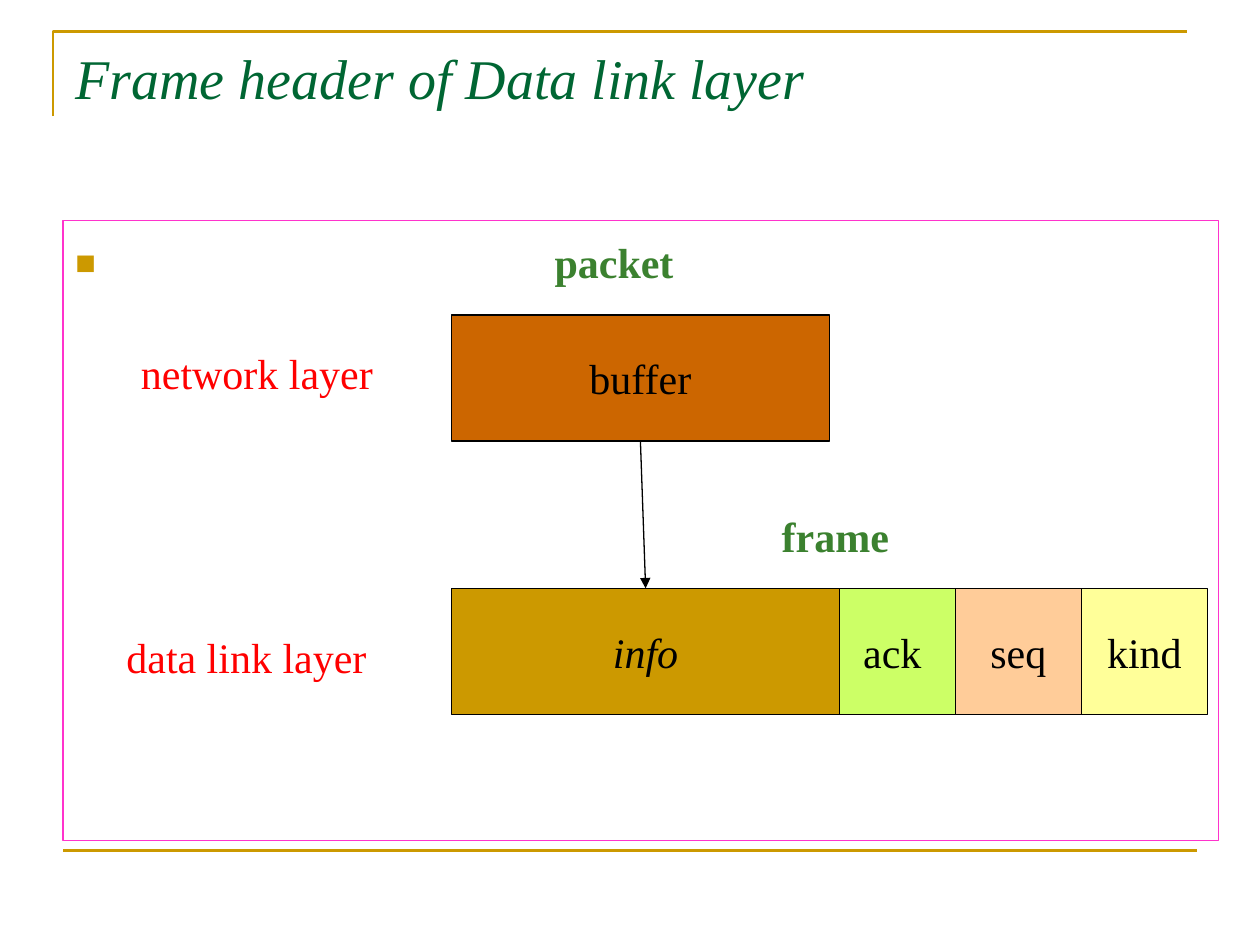
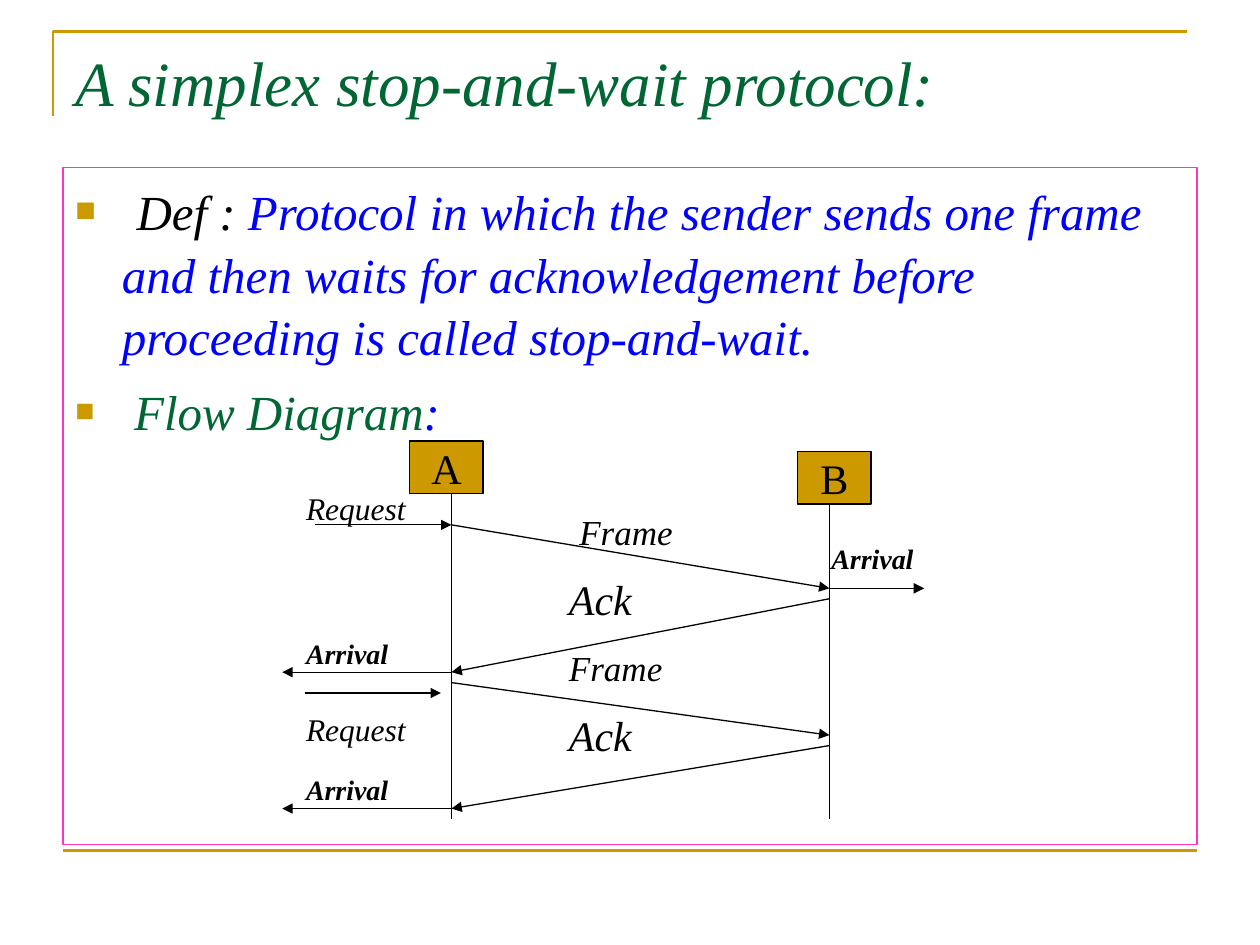
from dataclasses import dataclass

from lxml.etree import SubElement
from pptx import Presentation
from pptx.dml.color import RGBColor
from pptx.enum.shapes import MSO_CONNECTOR, MSO_SHAPE
from pptx.enum.text import MSO_ANCHOR, PP_ALIGN
from pptx.oxml.ns import qn
from pptx.util import Cm, Pt


@dataclass(frozen=True)
class Theme:
    serif: str = "Times New Roman"
    sans: str = "Arial"
    gold: str = "CC9900"
    green: str = "006633"
    leaf: str = "3B812F"
    pink: str = "FF33CC"
    brown: str = "CC6600"
    lime: str = "CCFF66"
    peach: str = "FFCC99"
    cream: str = "FFFF99"
    red: str = "FF0000"
    blue: str = "0000FF"
    black: str = "000000"
    white: str = "FFFFFF"
    body_size: float = 28
    bullet_size: float = 30
    box_size: float = 24
    thin: float = 0.75
    thick: float = 1.5


LABEL_FORMATS = {
    "Request": {"size": 18, "italic": True},
    "Arrival": {"size": 16, "italic": True, "bold": True},
    "Frame": {"size": 20, "italic": True},
    "Ack": {"size": 24, "italic": True},
}


class Deck:
    def __init__(self, theme):
        self.theme = theme
        self.presentation = Presentation()
        self.presentation.slide_width = Cm(25.4)
        self.presentation.slide_height = Cm(19.05)
        self.slide = None

    def add_slide(self, title, size):
        theme = self.theme
        blank = self.presentation.slide_layouts[6]
        self.slide = self.presentation.slides.add_slide(blank)
        self.corner()
        self.line((1.27, 17.15), (24.13, 17.15), theme.gold, theme.thick)
        self.label(title, 1.27, 0.76, 22.86, 2.18,
                   {"size": size, "italic": True, "color": theme.green})

    def corner(self):
        builder = self.slide.shapes.build_freeform(Cm(1.07), Cm(2.34))
        builder.add_line_segments(
            [(Cm(1.07), Cm(0.64)), (Cm(23.93), Cm(0.64))], close=False)
        shape = builder.convert_to_shape()
        self.paint(shape, None, self.theme.gold, self.theme.thick)

    def paint(self, shape, fill, outline, width):
        shape.shadow.inherit = False
        if fill:
            shape.fill.solid()
            shape.fill.fore_color.rgb = RGBColor.from_string(fill)
        else:
            shape.fill.background()
        shape.line.color.rgb = RGBColor.from_string(outline)
        shape.line.width = Pt(width)

    def add_text(self, paragraph, text, formats):
        """Append a run; formats override the theme's plain text."""
        run = paragraph.add_run()
        run.text = text
        values = {"name": self.theme.serif, "color": self.theme.black, **formats}
        values["size"] = Pt(values["size"])
        run.font.color.rgb = RGBColor.from_string(values.pop("color"))
        for name, value in values.items():
            setattr(run.font, name, value)

    def label(self, text, left, top, width, height, formats):
        box = self.slide.shapes.add_textbox(Cm(left), Cm(top), Cm(width), Cm(height))
        box.text_frame.word_wrap = True
        self.add_text(box.text_frame.paragraphs[0], text, formats)

    def rectangle(self, left, top, width, height, fill, outline):
        shape = self.slide.shapes.add_shape(
            MSO_SHAPE.RECTANGLE, Cm(left), Cm(top), Cm(width), Cm(height))
        self.paint(shape, fill, outline, self.theme.thin)
        return shape

    def box(self, text, left, top, width, height, fill, outline=None, **formats):
        shape = self.rectangle(left, top, width, height, fill,
                               outline or self.theme.black)
        frame = shape.text_frame
        frame.word_wrap = False
        frame.vertical_anchor = MSO_ANCHOR.MIDDLE
        paragraph = frame.paragraphs[0]
        paragraph.alignment = PP_ALIGN.CENTER
        self.add_text(paragraph, text, {"size": self.theme.box_size, **formats})
        return shape

    def caption(self, text, left, top, width, height, color, **formats):
        white = self.theme.white
        self.box(text, left, top, width, height, white, white, color=color, **formats)

    def content_frame(self, top, width, height, bullets):
        """Outlined panel; each bullet is a list of (text, formats) runs."""
        shape = self.rectangle(1.27, top, width, height, None, self.theme.pink)
        frame = shape.text_frame
        frame.word_wrap = True
        frame.vertical_anchor = MSO_ANCHOR.TOP
        for index, runs in enumerate(bullets):
            paragraph = frame.add_paragraph() if index else frame.paragraphs[0]
            self.bullet(paragraph)
            paragraph.alignment = PP_ALIGN.LEFT
            paragraph.line_spacing = 1.06
            if index:
                paragraph.space_before = Pt(7)
            for text, formats in runs:
                self.add_text(paragraph, text, {"size": self.theme.body_size, **formats})

    def bullet(self, paragraph):
        properties = paragraph._p.get_or_add_pPr()
        properties.set("marL", str(Cm(0.94)))
        properties.set("indent", str(-Cm(0.94)))
        color = SubElement(properties, qn("a:buClr"))
        SubElement(color, qn("a:srgbClr"), val=self.theme.gold)
        SubElement(properties, qn("a:buSzPct"), val="65000")
        SubElement(properties, qn("a:buFont"), typeface=self.theme.sans)
        SubElement(properties, qn("a:buChar"), char="■")

    def line(self, start, end, color=None, width=None):
        connector = self.slide.shapes.add_connector(
            MSO_CONNECTOR.STRAIGHT, *map(Cm, start + end))
        connector.line.color.rgb = RGBColor.from_string(color or self.theme.black)
        connector.line.width = Pt(width or self.theme.thin)
        SubElement(connector._element.spPr, qn("a:effectLst"))
        return connector

    def arrow(self, start, end):
        connector = self.line(start, end)
        SubElement(connector.line._get_or_add_ln(), qn("a:tailEnd"), type="triangle")
        return connector


def add_frame_header_slide(deck):
    theme = deck.theme
    deck.add_slide("Frame header of Data link layer", 32)
    deck.content_frame(4.45, 23.29, 12.5, [[(" ", {"name": theme.sans, "size": theme.bullet_size})]])

    left, field, frame_top = 9.1, 2.54, 11.86
    headers = [("ack", theme.lime), ("seq", theme.peach), ("kind", theme.cream)]
    for index, (name, fill) in enumerate(headers):
        deck.box(name, 16.72 + index * field, frame_top, field, field, fill)
    info = deck.box("info", left, frame_top, 7.83, field, theme.gold, italic=True)
    buffer = deck.box("buffer", left, 6.35, 7.62, field, theme.brown)

    deck.caption("frame", 14.4, 10.16, 4.88, 1.27, theme.leaf, bold=True)
    deck.caption("packet", 10.37, 4.65, 4.02, 1.27, theme.leaf, bold=True)
    deck.caption("network layer", 1.9, 6.56, 6.56, 1.9, theme.red)
    deck.caption("data link layer", 1.48, 12.5, 6.98, 1.48, theme.red)

    arrow = deck.arrow((12.91, 8.89), (13.02, frame_top))
    arrow.begin_connect(buffer, 2)
    arrow.end_connect(info, 0)


def add_stop_and_wait_slide(deck):
    theme = deck.theme
    deck.add_slide("A simplex stop-and-wait protocol:", 36)
    deck.content_frame(3.38, 22.86, 13.64, [
        [(" ", {"name": theme.sans, "size": theme.bullet_size}),
         ("Def : ", {"italic": True}),
         ("Protocol in which the sender sends one frame and then waits for "
          "acknowledgement before proceeding is called stop-and-wait.",
          {"italic": True, "color": theme.blue})],
        [(" Flow Diagram", {"italic": True, "color": theme.green}),
         (":", {"italic": True, "color": theme.blue})],
    ])

    sender, receiver, lifeline_end = 9.1, 16.72, 16.51
    stations = [("A", 8.26, 8.89, sender), ("B", 16.08, 9.1, receiver)]
    for name, left, top, lifeline in stations:
        deck.box(name, left, top, 1.48, 1.06, theme.gold)
        deck.line((lifeline, top + 1.06), (lifeline, lifeline_end))

    frames = [(10.58, 11.86), (13.76, 14.82)]
    acknowledgements = [(12.07, 13.55), (15.03, 16.3)]
    for sent, received in frames:
        deck.arrow((sender, sent), (receiver, received))
    for sent, received in acknowledgements:
        deck.arrow((receiver, sent), (sender, received))
        deck.arrow((sender, received), (5.69, received))
    deck.arrow((6.35, 10.58), (sender, 10.58))
    deck.arrow((6.14, 13.97), (8.89, 13.97))
    deck.arrow((receiver, 11.86), (18.63, 11.86))

    labels = [
        ("Request", 5.92, 9.74), ("Request", 5.92, 14.18),
        ("Frame", 11.43, 10.16), ("Frame", 11.22, 12.91),
        ("Ack", 11.22, 11.43), ("Ack", 11.22, 14.18),
        ("Arrival", 16.51, 10.8), ("Arrival", 5.92, 12.7), ("Arrival", 5.92, 15.45),
    ]
    for text, left, top in labels:
        deck.label(text, left, top, 2.9, 1.1, LABEL_FORMATS[text])


def main():
    deck = Deck(Theme())
    add_frame_header_slide(deck)
    add_stop_and_wait_slide(deck)
    deck.presentation.save("out.pptx")


if __name__ == "__main__":
    main()
